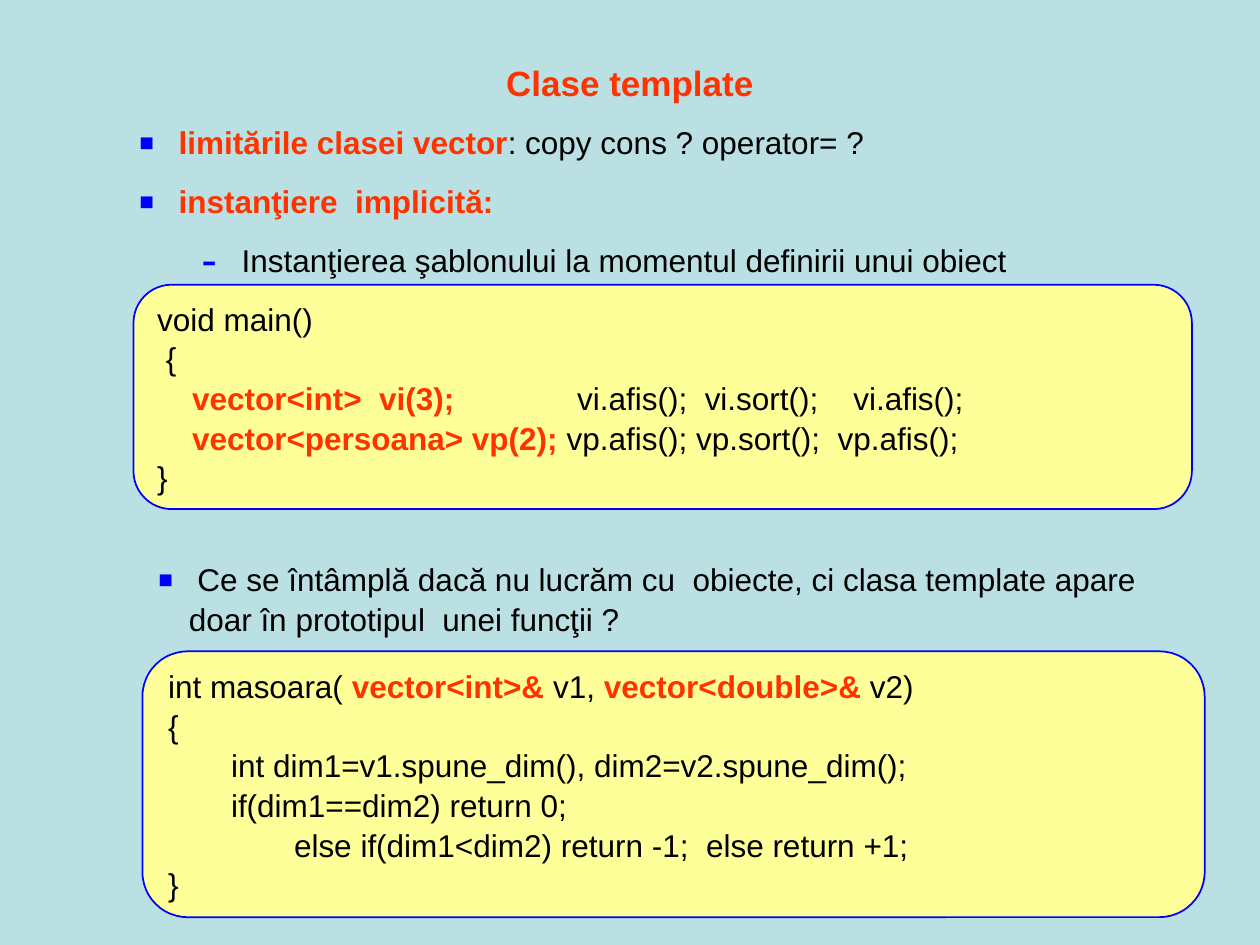
from dataclasses import dataclass

from lxml import etree
from pptx import Presentation
from pptx.dml.color import RGBColor
from pptx.enum.shapes import MSO_SHAPE
from pptx.enum.text import MSO_ANCHOR, PP_ALIGN
from pptx.oxml.ns import qn
from pptx.util import Pt

ROUND = MSO_SHAPE.ROUNDED_RECTANGLE
MIDDLE, TOP = MSO_ANCHOR.MIDDLE, MSO_ANCHOR.TOP
LEFT, CENTER = PP_ALIGN.LEFT, PP_ALIGN.CENTER


@dataclass(frozen=True)
class Theme:
    font: str = "Arial"
    back: str = "BBE0E3"
    ink: str = "000000"
    accent: str = "FF3300"
    panel: str = "FFFF99"
    edge: str = "0000FF"
    head: float = 20
    body: float = 18
    gap: float = 11.2
    leading: float = 1.05


class Deck:
    def __init__(self, theme):
        self.theme = theme
        self.prs = Presentation()
        self.prs.slide_width, self.prs.slide_height = Pt(720), Pt(540)
        self.slide = self.prs.slides.add_slide(self.prs.slide_layouts[6])
        fill = self.slide.background.fill
        fill.solid()
        fill.fore_color.rgb = RGBColor.from_string(theme.back)

    def frame(self, shape, anchor):
        frame = shape.text_frame
        frame.word_wrap = True
        frame.vertical_anchor = anchor
        frame.margin_left = frame.margin_right = Pt(7.2)
        frame.margin_top = frame.margin_bottom = Pt(3.6)
        return frame

    def line(self, frame, first, runs, size, align=LEFT):
        para = frame.paragraphs[0] if first else frame.add_paragraph()
        para.alignment = align
        para.line_spacing = self.theme.leading
        for text, strong in runs:
            run = para.add_run()
            run.text = text
            font = run.font
            font.name, font.size, font.bold = self.theme.font, Pt(size), strong
            color = self.theme.accent if strong else self.theme.ink
            font.color.rgb = RGBColor.from_string(color)
        return para

    def bullet(self, para, level, mark):
        props = para._p.get_or_add_pPr()
        para.level = level
        props.set("marL", str(Pt(36 * level)))
        props.set("indent", str(-Pt(18)))
        color = etree.SubElement(props, qn("a:buClr"))
        etree.SubElement(color, qn("a:srgbClr"), val=self.theme.edge)
        etree.SubElement(props, qn("a:buSzPct"), val="150000")
        etree.SubElement(props, qn("a:buFont"), typeface=self.theme.font)
        etree.SubElement(props, qn("a:buChar"), char=mark)

    def text(self, box, anchor):
        shape = self.slide.shapes.add_textbox(*map(Pt, box))
        return self.frame(shape, anchor)

    def title(self, box, text):
        frame = self.text(box, MIDDLE)
        self.line(frame, True, [(text, True)], self.theme.head, CENTER)

    def points(self, box, items):
        frame = self.text(box, TOP)
        for num, (level, mark, runs) in enumerate(items):
            para = self.line(frame, num == 0, runs, self.theme.body)
            self.bullet(para, level, mark)
            if num:
                para.space_before = Pt(self.theme.gap)

    def code(self, box, lines):
        shape = self.slide.shapes.add_shape(ROUND, *map(Pt, box))
        shape.shadow.inherit = False
        shape.adjustments[0] = 0.17
        shape.fill.solid()
        shape.fill.fore_color.rgb = RGBColor.from_string(self.theme.panel)
        shape.line.color.rgb = RGBColor.from_string(self.theme.edge)
        shape.line.width = Pt(1)
        frame = self.frame(shape, MIDDLE)
        for num, runs in enumerate(lines):
            self.line(frame, num == 0, runs, self.theme.body)

    def save(self):
        self.prs.save("out.pptx")


def main():
    deck = Deck(Theme())
    deck.title((36, 21.6, 648, 49.7), "Clase template")
    deck.points((54, 65.5, 623.5, 95), [
        (1, "▪", [(" ", False), ("limitările clasei vector", True),
                  (": copy cons ? operator= ?", False)]),
        (1, "▪", [(" instanţiere  implicită:", True)]),
        (2, "-", [(" Instanţierea şablonului la momentul definirii unui obiect",
                   False)]),
    ])
    deck.code((76.3, 162.7, 604.8, 128.2), [
        [("void main()", False)],
        [(" {", False)],
        [("    ", False), ("vector<int>  vi(3);              ", True),
         ("vi.afis();  vi.sort();    vi.afis();", False)],
        [("    ", False), ("vector<persoana> vp(2);", True),
         (" vp.afis(); vp.sort();  vp.afis();", False)],
        [("}", False)],
    ])
    deck.points((64.8, 315.4, 623.5, 50.4), [
        (1, "▪", [(" Ce se întâmplă dacă nu lucrăm cu  obiecte, ci clasa "
                   "template apare doar în prototipul  unei funcţii ?", False)]),
    ])
    deck.code((81.4, 372.2, 607, 151.9), [
        [("int masoara( ", False), ("vector<int>&", True), (" v1, ", False),
         ("vector<double>&", True), (" v2)", False)],
        [("{", False)],
        [("\tint dim1=v1.spune_dim(), dim2=v2.spune_dim();", False)],
        [("\tif(dim1==dim2) return 0;", False)],
        [("\t\telse if(dim1<dim2) return -1;  else return +1;", False)],
        [("}", False)],
    ])
    deck.save()


if __name__ == "__main__":
    main()
